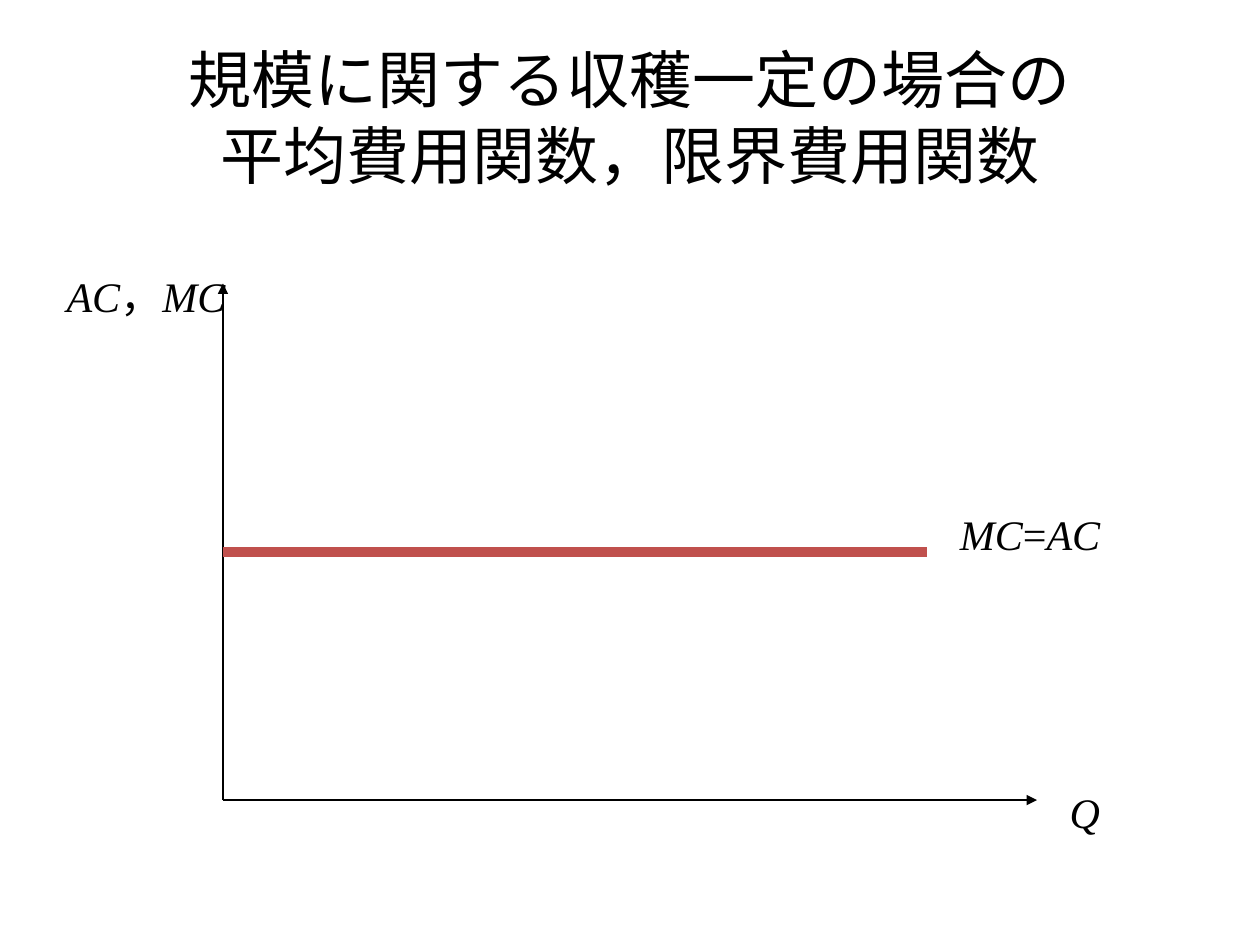
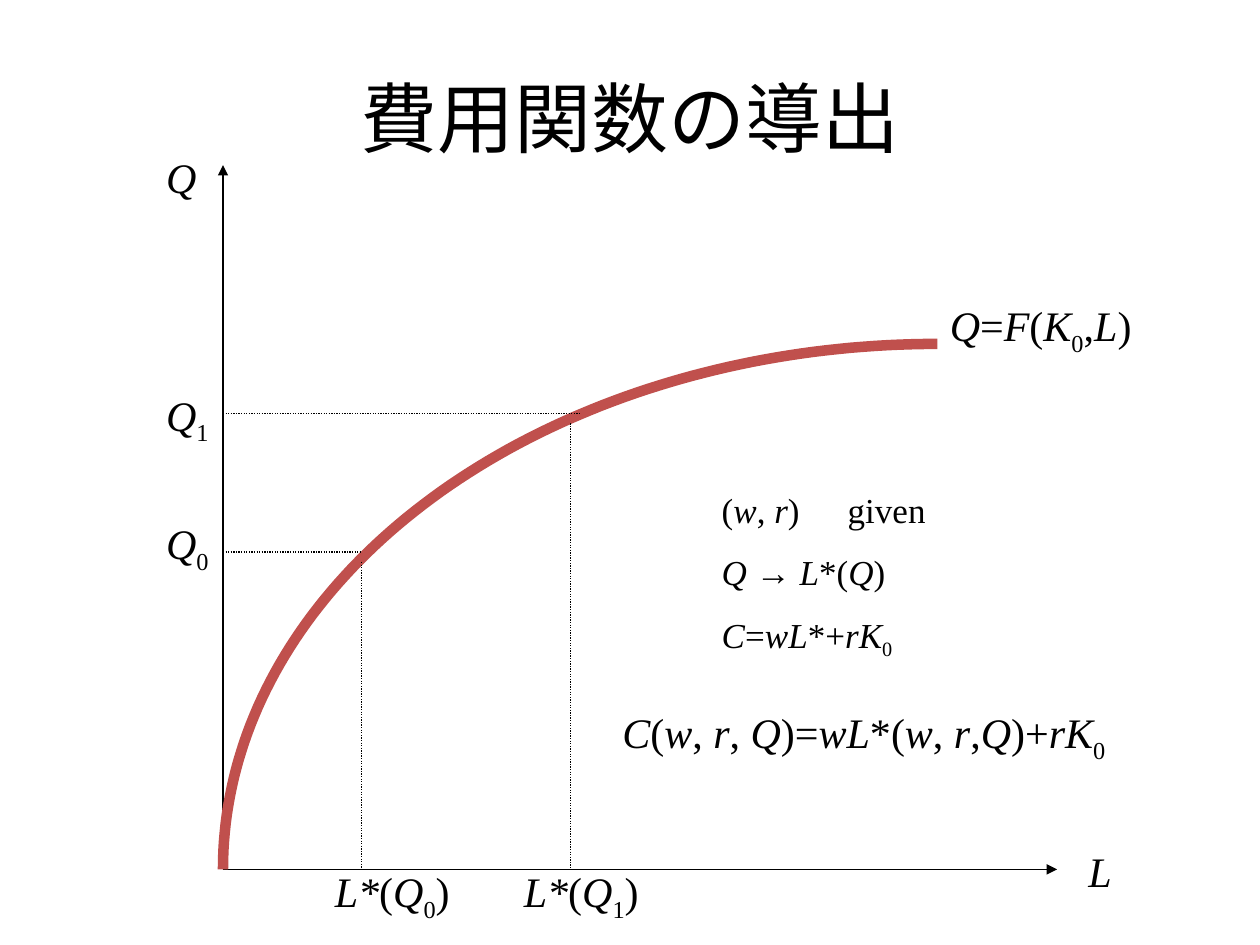
from dataclasses import dataclass
from math import cos, pi, sin

from lxml.etree import SubElement
from pptx import Presentation
from pptx.dml.color import RGBColor
from pptx.enum.dml import MSO_LINE_DASH_STYLE as Dash
from pptx.enum.shapes import MSO_CONNECTOR as Connector
from pptx.enum.text import MSO_ANCHOR as Anchor, MSO_AUTO_SIZE as AutoSize, PP_ALIGN as Align
from pptx.oxml.ns import qn
from pptx.slide import Slide
from pptx.text.text import _Paragraph as Paragraph
from pptx.util import Inches, Pt

BLACK = RGBColor(0x00, 0x00, 0x00)
RED = RGBColor(0xC0, 0x50, 0x4D)
TITLE_FONT = "Calibri"
MATH_FONT = "Times New Roman"
AXIS_X = 1.77
THIN, THICK = 0.75, 6


@dataclass
class Label:
    left: float
    top: float
    width: float
    lines: list[str]
    height: float = 0.5
    size: int = 24


@dataclass
class Line:
    x1: float
    y1: float
    x2: float
    y2: float
    color: RGBColor = BLACK
    weight: float = THIN
    arrow: bool = False
    dotted: bool = False


def add_title(s: Slide, text: str, size: int) -> None:
    tf = s.shapes.add_textbox(Inches(0.5), Inches(0.3), Inches(9), Inches(1.25)).text_frame
    tf.word_wrap = True
    tf.vertical_anchor = Anchor.MIDDLE
    tf.text = text
    p = tf.paragraphs[0]
    p.alignment = Align.CENTER
    for r in p.runs:
        r.font.name = TITLE_FONT
        r.font.size = Pt(size)
        r.font.color.rgb = BLACK


def add_math_run(p: Paragraph, text: str, size: int, italic: bool, subscript: bool = False) -> None:
    if not text:
        return
    r = p.add_run()
    r.text = text
    r.font.name = MATH_FONT
    r.font.size = Pt(size)
    r.font.italic = italic
    r.font.color.rgb = BLACK
    if subscript:
        r.font._element.set("baseline", "-25000")


def write_math(p: Paragraph, markup: str, size: int) -> None:
    """Slashes toggle italics; an underscore lowers the next character."""
    for i, part in enumerate(markup.split("/")):
        italic = i % 2 == 1
        plain, *lowered = part.split("_")
        add_math_run(p, plain, size, italic)
        for piece in lowered:
            add_math_run(p, piece[0], size, italic, subscript=True)
            add_math_run(p, piece[1:], size, italic)


def add_label(s: Slide, label: Label) -> None:
    box = s.shapes.add_textbox(Inches(label.left), Inches(label.top),
                               Inches(label.width), Inches(label.height))
    tf = box.text_frame
    tf.word_wrap = True
    tf.auto_size = AutoSize.SHAPE_TO_FIT_TEXT
    for i, markup in enumerate(label.lines):
        p = tf.add_paragraph() if i else tf.paragraphs[0]
        if i:
            p.space_before = Pt(11.5)
        write_math(p, markup, label.size)


def add_line(s: Slide, line: Line) -> None:
    c = s.shapes.add_connector(Connector.STRAIGHT, Inches(line.x1), Inches(line.y1),
                               Inches(line.x2), Inches(line.y2))
    c.line.color.rgb = line.color
    c.line.width = Pt(line.weight)
    if line.dotted:
        c.line.dash_style = Dash.ROUND_DOT
    if line.arrow:
        SubElement(c.line._get_or_add_ln(), qn("a:tailEnd"), type="triangle")
    SubElement(c._element.spPr, qn("a:effectLst"))


def add_axes(s: Slide, base: float, top: float, right: float) -> None:
    add_line(s, Line(AXIS_X, base, right, base, arrow=True))
    add_line(s, Line(AXIS_X, base, AXIS_X, top, arrow=True))


def add_production_curve(s: Slide, base: float, right: float, top: float) -> None:
    steps = 90
    angles = [pi / 2 * i / steps for i in range(steps + 1)]
    points = [(Inches(right - (right - AXIS_X) * cos(a)), Inches(base - (base - top) * sin(a)))
              for a in angles]
    builder = s.shapes.build_freeform(*points[0], scale=1.0)
    builder.add_line_segments(points[1:], close=False)
    sp = builder.convert_to_shape()
    sp.shadow.inherit = False
    sp.fill.background()
    sp.line.color.rgb = RED
    sp.line.width = Pt(THICK)


def build_constant_returns(s: Slide) -> None:
    cost = 4.38
    add_title(s, "規模に関する収穫一定の場合の\v平均費用関数，限界費用関数", 36)
    add_axes(s, base=6.35, top=2.25, right=8.23)
    add_line(s, Line(AXIS_X, cost, 7.36, cost, RED, THICK))
    for label in (
        Label(0.43, 2.1, 1.58, ["/AC/，/MC/"]),
        Label(8.39, 6.19, 0.63, ["/Q/"]),
        Label(7.52, 3.99, 1.57, ["/MC/=/AC/"]),
    ):
        add_label(s, label)


def build_cost_derivation(s: Slide) -> None:
    base = 6.9
    add_title(s, "費用関数の導出", 44)
    add_axes(s, base, top=1.31, right=8.39)
    add_production_curve(s, base, right=7.44, top=2.73)
    for output_y, output_end, labor_x, labor_top in ((4.38, 2.87, 2.87, 4.46),
                                                     (3.28, 4.61, 4.53, 3.36)):
        add_line(s, Line(AXIS_X, output_y, output_end, output_y, dotted=True))
        add_line(s, Line(labor_x, labor_top, labor_x, base, dotted=True))
    for label in (
        Label(8.54, 6.66, 0.47, ["/L/"]),
        Label(1.22, 1.15, 0.47, ["/Q/"]),
        Label(1.22, 3.04, 0.63, ["/Q/_1"]),
        Label(1.22, 4.06, 0.71, ["/Q/_0"]),
        Label(2.56, 6.82, 1.26, ["/L*/(/Q/_0)"]),
        Label(4.06, 6.82, 1.26, ["/L*/(/Q/_1)"]),
        Label(7.44, 2.33, 1.81, ["/Q/=/F/(/K/_0,/L/)"]),
        Label(4.84, 5.56, 4.41, ["/C/(/w/, /r/,/ Q/)=/wL/*(/w/, /r/,/Q/)+/rK/_0"]),
        Label(5.63, 3.83, 2.36,
              ["(/w/, /r/) \tgiven", "/Q /→ /L/*(/Q/)", "/C/=/wL/*+/rK/_0"], 1.43, 20),
    ):
        add_label(s, label)


def main() -> None:
    prs = Presentation()
    prs.slide_width, prs.slide_height = Inches(10), Inches(7.5)
    for build in (build_constant_returns, build_cost_derivation):
        build(prs.slides.add_slide(prs.slide_layouts[6]))
    prs.save("out.pptx")


if __name__ == "__main__":
    main()
